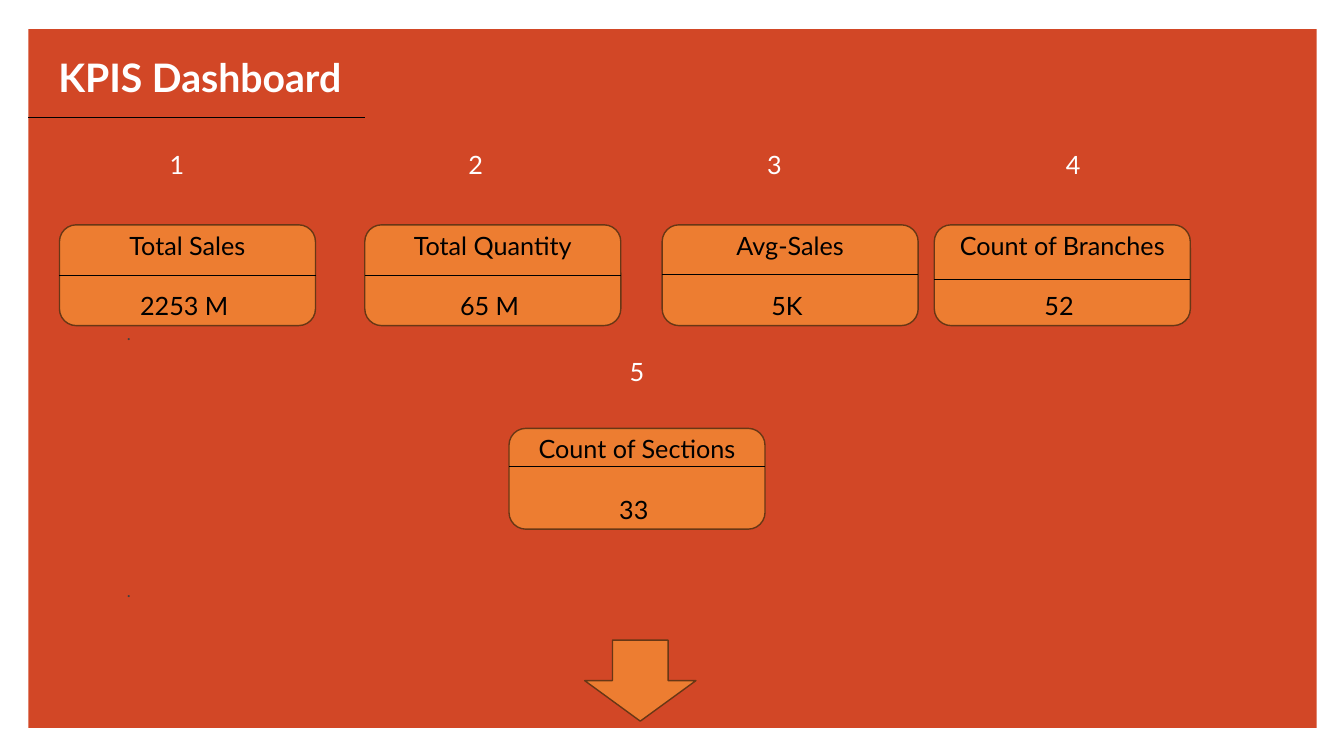
from lxml import etree
from pptx import Presentation
from pptx.dml.color import RGBColor
from pptx.enum.shapes import MSO_CONNECTOR, MSO_SHAPE
from pptx.enum.text import MSO_ANCHOR, PP_ALIGN
from pptx.oxml.ns import qn
from pptx.util import Pt

RECTANGLE = MSO_SHAPE.RECTANGLE
ROUNDED = MSO_SHAPE.ROUNDED_RECTANGLE
OVAL = MSO_SHAPE.OVAL
DOWN_ARROW = MSO_SHAPE.DOWN_ARROW
STRAIGHT = MSO_CONNECTOR.STRAIGHT
LEFT = PP_ALIGN.LEFT
CENTER = PP_ALIGN.CENTER
MIDDLE = MSO_ANCHOR.MIDDLE

FONT = "Lato"
RED, ORANGE, BROWN = "D24726", "ED7D31", "683715"
WHITE, BLACK, GRAY = "FFFFFF", "000000", "404040"

CARD_WIDTH, CARD_HEIGHT = 182.9, 72
BADGE_WIDTH, BADGE_HEIGHT = 64.1, 48.2
BADGE_LEFT, BADGE_PITCH = 94.3, 213.4
BADGE_TOP, CARD_TOP = 101.5, 160.6

# Label, value, card left, divider offset inside the card
TOP_ROW = [
    ("Total Sales", "2253 M ", 42.5, 36),
    ("Total Quantity", "65 M ", 260.6, 36),
    ("Avg-Sales", "5K ", 473, 35.3),
    ("Count of Branches", "52 ", 667.4, 38.9),
]


def color(value):
    return RGBColor.from_string(value)


def add_run(paragraph, text, size, text_color, bold=False):
    run = paragraph.add_run()
    run.text = text
    run.font.name = FONT
    run.font.size = Pt(size)
    run.font.bold = bold
    run.font.color.rgb = color(text_color)


def add_filled_shape(slide, kind, left, top, width, height, fill, outline=None):
    shape = slide.shapes.add_shape(kind, Pt(left), Pt(top), Pt(width), Pt(height))
    shape.shadow.inherit = False
    shape.fill.solid()
    shape.fill.fore_color.rgb = color(fill)
    if outline:
        shape.line.color.rgb = color(outline)
        shape.line.width = Pt(1)
    else:
        shape.line.fill.background()
    return shape


def add_text(slide, left, top, width, height, text, size, text_color,
             alignment=LEFT, bold=False):
    box = slide.shapes.add_textbox(Pt(left), Pt(top), Pt(width), Pt(height))
    box.text_frame.word_wrap = True
    paragraph = box.text_frame.paragraphs[0]
    paragraph.alignment = alignment
    add_run(paragraph, text, size, text_color, bold)
    return paragraph


def add_rule(slide, left, top, width):
    line = slide.shapes.add_connector(
        STRAIGHT, Pt(left), Pt(top), Pt(left + width), Pt(top))
    line.line.color.rgb = color(BLACK)
    line.line.width = Pt(0.5)
    etree.SubElement(line._element.spPr, qn("a:effectLst"))


def add_header(slide, left, top):
    add_text(slide, left + 14.4, top + 13.7, 273.6, 41, "KPIS Dashboard", 28,
             WHITE, bold=True)
    add_rule(slide, left, top + 62.6, 240.5)


def add_badge(slide, left, top, number):
    add_filled_shape(slide, OVAL, left, top, BADGE_WIDTH, BADGE_HEIGHT, RED)
    add_text(slide, left - 11.9, top + 1.5, BADGE_WIDTH + 23.8, 29,
             str(number), 18, WHITE, CENTER)


def add_card(slide, left, top, label, value, divider):
    card = add_filled_shape(slide, ROUNDED, left, top, CARD_WIDTH, CARD_HEIGHT,
                            ORANGE, BROWN)
    frame = card.text_frame
    frame.word_wrap = True
    frame.vertical_anchor = MIDDLE
    label_paragraph = frame.paragraphs[0]
    value_paragraph = frame.add_paragraph()
    value_paragraph.space_before = Pt(21.6)
    for paragraph, text in ((label_paragraph, label), (value_paragraph, value)):
        paragraph.alignment = CENTER
        add_run(paragraph, text, 18, BLACK)
    add_rule(slide, left, top + divider, CARD_WIDTH)


def add_dot(slide, left, top, height):
    paragraph = add_text(slide, left, top, 355, height, ".", 12, GRAY)
    paragraph.line_spacing = Pt(18)
    paragraph.space_before = Pt(10)
    paragraph.space_after = Pt(20)


def add_dashboard(slide, left, top, width, height):
    # Background panel and title
    add_filled_shape(slide, RECTANGLE, left, top, width, height, RED)
    add_header(slide, left, top)

    # Small text marks
    add_dot(slide, left + 63.3, top + 203, 84.2)
    add_dot(slide, left + 63.3, top + 386.6, 44.6)

    # Four numbered indicators
    for index, (label, value, card_left, divider) in enumerate(TOP_ROW):
        add_badge(slide, BADGE_LEFT + index * BADGE_PITCH, BADGE_TOP, index + 1)
        add_card(slide, card_left, CARD_TOP, label, value, divider)

    # Fifth indicator and arrow below it
    add_badge(slide, 422.9, 249.4, 5)
    add_card(slide, 363.6, 306, "Count of Sections", "33 ", 27.4)
    add_filled_shape(slide, DOWN_ARROW, 417.6, 457.2, 79.5, 57.9, ORANGE, BROWN)


def main():
    presentation = Presentation()
    presentation.slide_width = Pt(960)
    presentation.slide_height = Pt(540)
    slide = presentation.slides.add_slide(presentation.slide_layouts[6])
    add_dashboard(slide, 20.2, 20.9, 920.2, 499)
    presentation.save("out.pptx")


if __name__ == "__main__":
    main()
